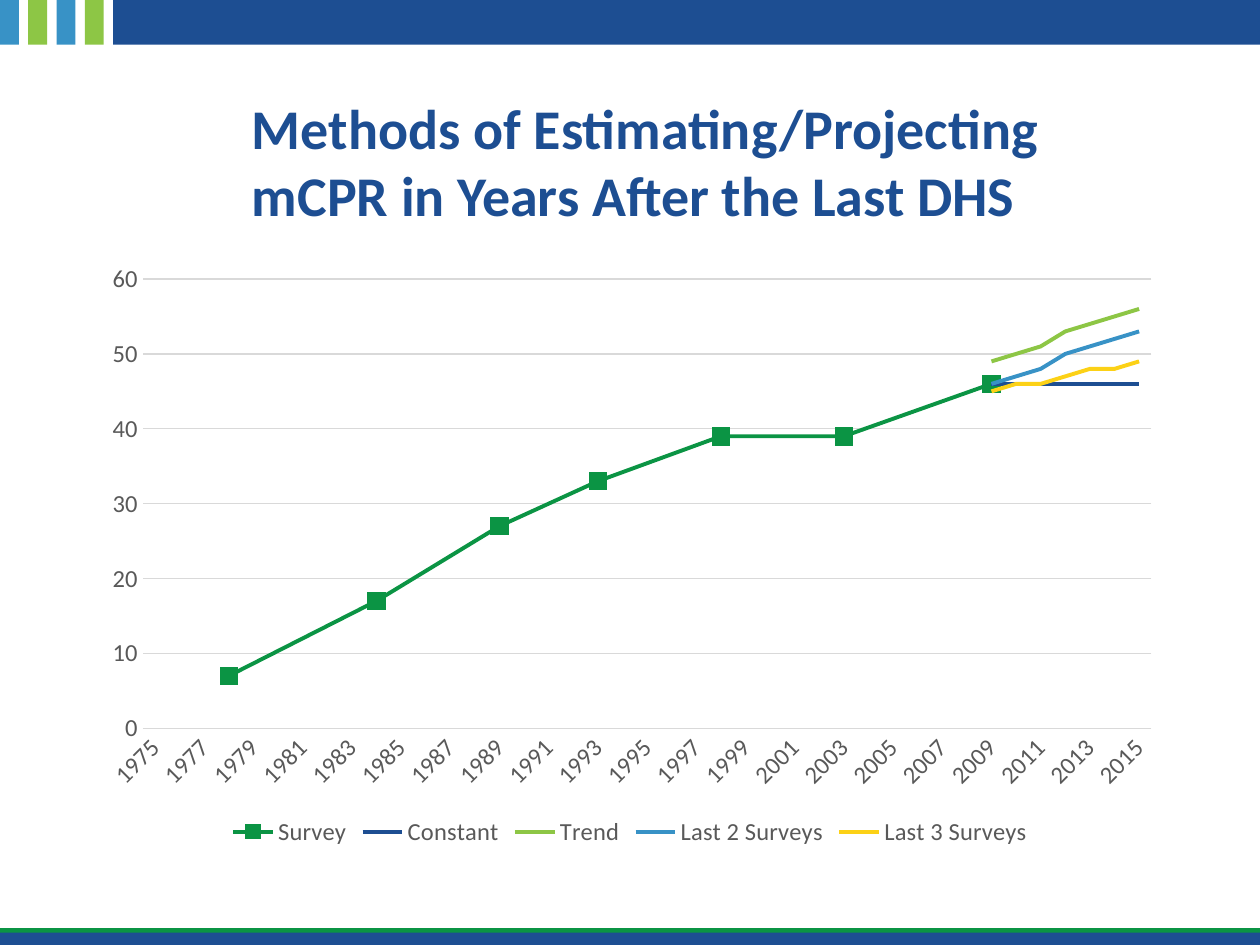
from lxml import etree
from pptx import Presentation
from pptx.chart.data import CategoryChartData
from pptx.dml.color import RGBColor
from pptx.enum.chart import (XL_CHART_TYPE, XL_LEGEND_POSITION,
                             XL_MARKER_STYLE, XL_TICK_MARK)
from pptx.enum.shapes import MSO_SHAPE
from pptx.enum.text import MSO_ANCHOR
from pptx.util import Cm, Pt

RECTANGLE = MSO_SHAPE.RECTANGLE
NO_TICKS = XL_TICK_MARK.NONE
NO_MARKER = XL_MARKER_STYLE.NONE
SQUARE = XL_MARKER_STYLE.SQUARE

NAVY = RGBColor(0x1D, 0x4E, 0x92)
BLUE = RGBColor(0x38, 0x92, 0xC6)
LIME = RGBColor(0x8D, 0xC6, 0x45)
GREEN = RGBColor(0x0B, 0x94, 0x44)
YELLOW = RGBColor(0xFC, 0xD1, 0x16)
LABEL_GREY = RGBColor(0x59, 0x59, 0x59)
GRID_GREY = RGBColor(0xD9, 0xD9, 0xD9)
FONT = "Calibri"

TITLE = "Methods of Estimating/Projecting mCPR in Years After the Last DHS"
YEARS = range(1975, 2016)
LAST_SURVEY = 2009
SURVEYS = {1978: 7, 1984: 17, 1989: 27, 1993: 33, 1998: 39, 2003: 39, 2009: 46}
# Yearly values from the last survey onwards
PROJECTIONS = [
    ("Constant", NAVY, [46, 46, 46, 46, 46, 46, 46]),
    ("Trend", LIME, [49, 50, 51, 53, 54, 55, 56]),
    ("Last 2 Surveys", BLUE, [46, 47, 48, 50, 51, 52, 53]),
    ("Last 3 Surveys", YELLOW, [45, 46, 46, 47, 48, 48, 49]),
]

STRIPES = [BLUE, LIME, BLUE, LIME]
STRIPE_WIDTH, STRIPE_PITCH, BAND_HEIGHT = 0.38, 0.57, 0.9
SLIDE_WIDTH, SLIDE_HEIGHT = 25.4, 19.05


def add_bar(slide, left, top, width, height, color):
    bar = slide.shapes.add_shape(RECTANGLE, Cm(left), Cm(top), Cm(width), Cm(height))
    bar.shadow.inherit = False
    bar.fill.solid()
    bar.fill.fore_color.rgb = color
    bar.line.fill.background()


def add_bands(slide):
    for index, color in enumerate(STRIPES):
        add_bar(slide, index * STRIPE_PITCH, 0, STRIPE_WIDTH, BAND_HEIGHT, color)
    header_left = len(STRIPES) * STRIPE_PITCH
    add_bar(slide, header_left, 0, SLIDE_WIDTH - header_left, BAND_HEIGHT, NAVY)
    add_bar(slide, 0, 18.71, SLIDE_WIDTH, 0.13, GREEN)
    add_bar(slide, 0, 18.8, SLIDE_WIDTH, SLIDE_HEIGHT - 18.8, NAVY)


def add_title(slide):
    title = slide.shapes.add_textbox(Cm(5.08), Cm(0.91), Cm(18.59), Cm(3.68))
    frame = title.text_frame
    frame.word_wrap = True
    frame.vertical_anchor = MSO_ANCHOR.BOTTOM
    frame.margin_left = frame.margin_right = 0
    frame.margin_top = frame.margin_bottom = 0
    frame.text = TITLE
    font = frame.paragraphs[0].runs[0].font
    font.name, font.size, font.bold = FONT, Pt(32), True
    font.color.rgb = NAVY


def style_labels(font):
    font.name, font.size = FONT, Pt(14)
    font.color.rgb = LABEL_GREY


def style_rule(line):
    line.color.rgb = GRID_GREY
    line.width = Pt(0.75)


def style_axes(chart):
    years, percent = chart.category_axis, chart.value_axis
    for axis in (years, percent):
        axis.major_tick_mark = axis.minor_tick_mark = NO_TICKS
        style_labels(axis.tick_labels.font)
    style_rule(years.format.line)
    years.has_major_gridlines = False
    percent.format.line.fill.background()
    percent.has_major_gridlines = True
    style_rule(percent.major_gridlines.format.line)
    percent.minimum_scale, percent.maximum_scale, percent.major_unit = 0, 60, 10

    # Slanted label for every second year
    axis_xml = years._element
    axis_xml.txPr.find("{*}bodyPr").set("rot", "-2700000")
    no_multi_level = axis_xml.find("{*}noMultiLvlLbl")
    skip = etree.Element(etree.QName(no_multi_level).text.replace("noMultiLvlLbl", "tickLblSkip"))
    skip.set("val", "2")
    no_multi_level.addprevious(skip)


def add_projection_chart(slide):
    data = CategoryChartData()
    data.categories = [str(year) for year in YEARS]
    data.add_series("Survey", [SURVEYS.get(year) for year in YEARS])
    before = [None] * (LAST_SURVEY - YEARS[0])
    for name, _, values in PROJECTIONS:
        data.add_series(name, before + values)
    chart = slide.shapes.add_chart(XL_CHART_TYPE.LINE_MARKERS, Cm(1.75), Cm(5.08),
                                   Cm(21.9), Cm(12.09), data).chart
    chart.has_title = False
    chart.font.name, chart.font.size = FONT, Pt(10)
    chart.has_legend = True
    chart.legend.position = XL_LEGEND_POSITION.BOTTOM
    chart.legend.include_in_layout = False
    style_labels(chart.legend.font)
    style_axes(chart)

    plot = chart.plots[0]
    plot.vary_by_categories = False
    colors = [GREEN] + [color for _, color, _ in PROJECTIONS]
    for series, color in zip(plot.series, colors):
        series.smooth = False
        series.format.line.color.rgb = color
        series.format.line.width = Pt(2.25)
        series.marker.style = NO_MARKER
    marker = plot.series[0].marker
    marker.style, marker.size = SQUARE, 10
    marker.format.fill.solid()
    marker.format.fill.fore_color.rgb = GREEN
    marker.format.line.color.rgb = GREEN

    # Join the survey points across the years without a survey
    chart._chartSpace.find(".//{*}dispBlanksAs").set("val", "span")


def main():
    deck = Presentation()
    deck.slide_width, deck.slide_height = Cm(SLIDE_WIDTH), Cm(SLIDE_HEIGHT)
    slide = deck.slides.add_slide(deck.slide_layouts[6])
    add_bands(slide)
    add_title(slide)
    add_projection_chart(slide)
    deck.save("out.pptx")


if __name__ == "__main__":
    main()
